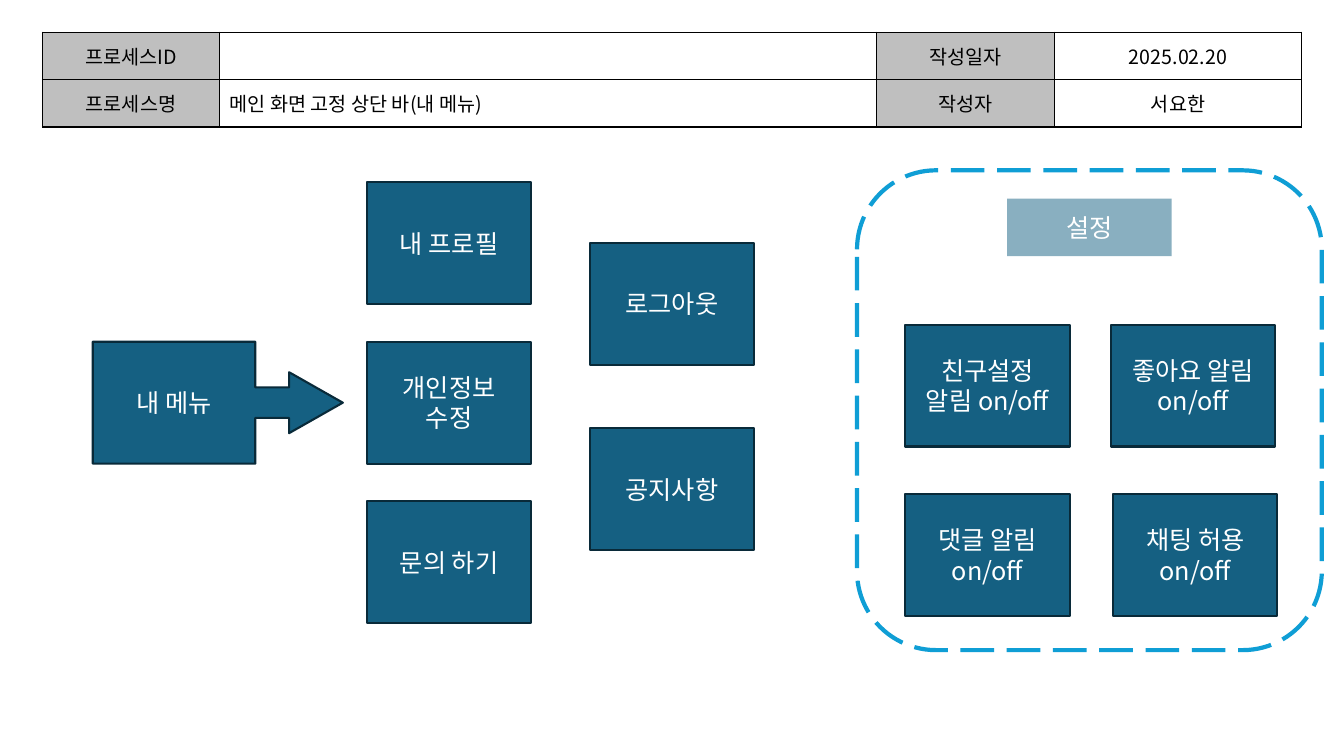
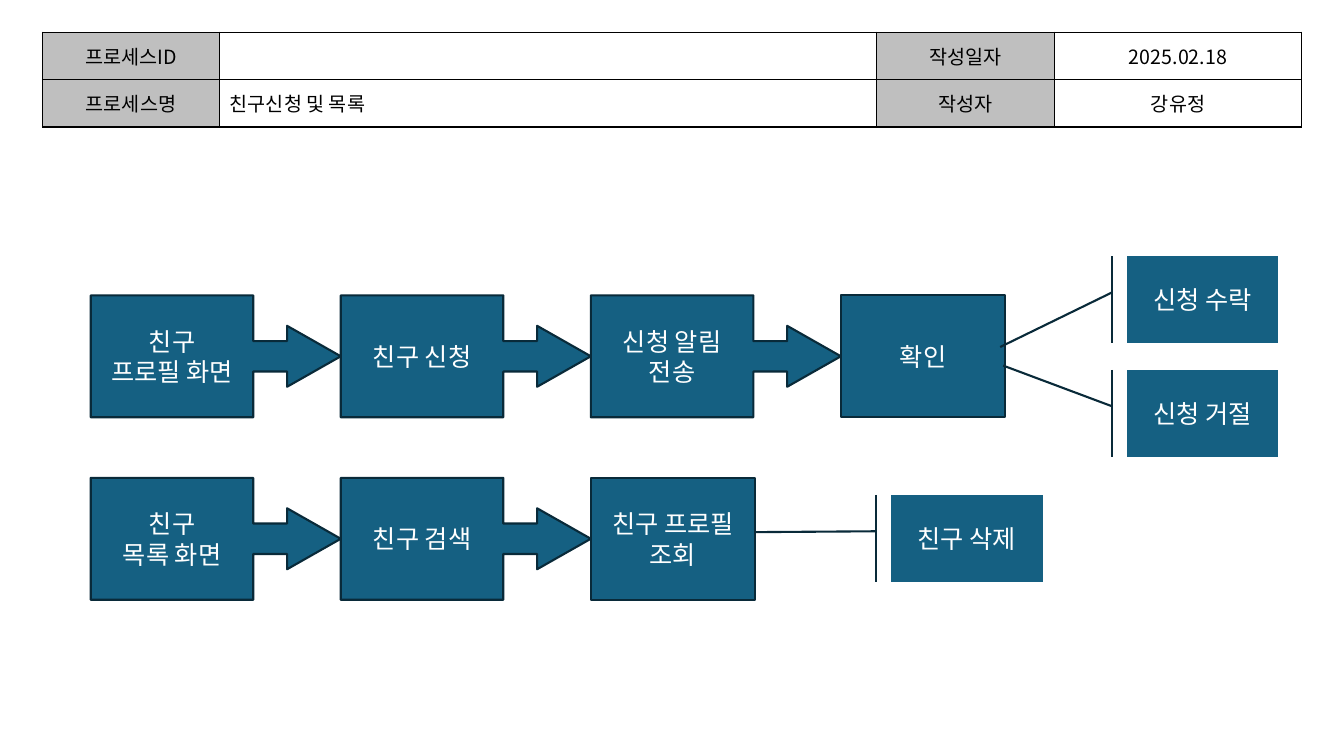
from dataclasses import dataclass

from lxml import etree
from pptx import Presentation
from pptx import util as u
from pptx.dml.color import RGBColor
from pptx.enum import dml, shapes, text
from pptx.oxml import ns

SHAPE = shapes.MSO_SHAPE
ALIGN = text.PP_ALIGN


@dataclass(frozen=True)
class Theme:
    font: str = "Noto Sans CJK KR"
    box: str = "156082"
    edge: str = "092A39"
    accent: str = "0F9ED5"
    label: str = "BFBFBF"
    ink: str = "000000"
    paper: str = "FFFFFF"
    table_size: int = 14
    box_size: int = 18
    edge_width: float = 1.5


T = Theme()
BOX_W, BOX_H = 1.63, 1.21
STEP_W = 2.48
CALLOUT_W, CALLOUT_H = 1.5, 0.86


def rgb(value):
    return RGBColor.from_string(value)


# Text
def write(tf, content, size, color, align=ALIGN.CENTER):
    tf.text = content
    for p in tf.paragraphs:
        p.alignment = align
        for r in p.runs:
            r.font.size = u.Pt(size)
            r.font.name = T.font
            r.font.color.rgb = rgb(color)
            ea = etree.SubElement(r.font._element, ns.qn("a:ea"))
            ea.set("typeface", T.font)


# Header table
def set_borders(cell, visible):
    tc_pr = cell._tc.get_or_add_tcPr()
    for side in "LRTB":
        ln = etree.SubElement(tc_pr, ns.qn(f"a:ln{side}"), w=str(u.Pt(1)))
        if side in visible:
            fill = etree.SubElement(ln, ns.qn("a:solidFill"))
            etree.SubElement(fill, ns.qn("a:srgbClr"), val=T.ink)
        else:
            etree.SubElement(ln, ns.qn("a:noFill"))


def add_header(s, name, date, author):
    widths, heights = (1.76, 6.51, 1.77, 2.45), (0.47, 0.47, 5.88)
    frame = s.shapes.add_table(len(heights), len(widths), u.Inches(0.42), u.Inches(0.32),
                               u.Inches(sum(widths)), u.Inches(sum(heights)))
    table = frame.table
    table.first_row = table.horz_banding = False
    for column, width in zip(table.columns, widths):
        column.width = u.Inches(width)
    for row, height in zip(table.rows, heights):
        row.height = u.Inches(height)

    rows = (("프로세스ID", "", "작성일자", date),
            ("프로세스명", name, "작성자", author),
            ("", "", "", ""))
    body = len(rows) - 1
    for i, row in enumerate(rows):
        for j, content in enumerate(row):
            cell = table.cell(i, j)
            set_borders(cell, "T" if i == body else "LRTB")
            if i < body and j % 2 == 0:
                cell.fill.solid()
                cell.fill.fore_color.rgb = rgb(T.label)
            else:
                cell.fill.background()
            cell.vertical_anchor = text.MSO_ANCHOR.MIDDLE
            align = ALIGN.LEFT if j == 1 else ALIGN.CENTER
            write(cell.text_frame, content, T.table_size, T.ink, align)
    table.cell(body, 0).merge(table.cell(body, len(widths) - 1))


# Shapes
def add_shape(s, kind, x, y, w, h, content="", adj=()):
    sp = s.shapes.add_shape(kind, u.Inches(x), u.Inches(y), u.Inches(w), u.Inches(h))
    sp.shadow.inherit = False
    for i, value in enumerate(adj):
        sp.adjustments[i] = value
    sp.fill.solid()
    sp.fill.fore_color.rgb = rgb(T.box)
    sp.line.color.rgb = rgb(T.edge)
    sp.line.width = u.Pt(T.edge_width)
    if content:
        write(sp.text_frame, content, T.box_size, T.paper)
    return sp


def add_box(s, x, y, content, h=BOX_H):
    return add_shape(s, SHAPE.FLOWCHART_PROCESS, x, y, BOX_W, h, content)


def add_step(s, x, y, content):
    add_shape(s, SHAPE.RIGHT_ARROW_CALLOUT, x, y, STEP_W, BOX_H, content,
              (0.25, 0.25, 0.44, 0.65))


def add_callout(s, x, y, content, end_y, end_x):
    add_shape(s, SHAPE.LINE_CALLOUT_1_ACCENT_BAR, x, y, CALLOUT_W, CALLOUT_H, content,
              (0.42, -0.1, end_y, end_x))


def add_flow(s, x, y, steps):
    """Arrow steps in a row, ending with a plain box."""
    *arrows, last = steps
    for i, content in enumerate(arrows):
        add_step(s, x + i * STEP_W, y, content)
    add_box(s, x + len(arrows) * STEP_W, y, last)


def add_column(s, x, y, pitch, items):
    for i, content in enumerate(items):
        add_box(s, x, y + i * pitch, content)


def add_settings_group(s):
    for x, y, content in ((8.98, 3.22, "친구설정\n알림 on/off"),
                          (11.02, 3.22, "좋아요 알림\von/off"),
                          (8.98, 4.9, "댓글 알림\von/off"),
                          (11.04, 4.9, "채팅 허용\von/off")):
        add_box(s, x, y, content)

    # Half-transparent heading
    heading = add_box(s, 9.99, 1.97, "설정", h=0.57)
    heading.line.fill.background()
    color = heading.fill._xPr.find(ns.qn("a:solidFill"))[0]
    etree.SubElement(color, ns.qn("a:alpha"), val="50000")

    # Dashed outline
    outline = add_shape(s, SHAPE.ROUNDED_RECTANGLE, 8.5, 1.69, 4.61, 4.76, adj=(0.17,))
    outline.fill.background()
    outline.line.color.rgb = rgb(T.accent)
    outline.line.width = u.Pt(3)
    outline.line.dash_style = dml.MSO_LINE.LONG_DASH


# Slides
def add_slide(prs, name, date, author):
    s = prs.slides.add_slide(prs.slide_layouts[6])
    add_header(s, name, date, author)
    return s


def build_my_menu(prs):
    s = add_slide(prs, "메인 화면 고정 상단 바(내 메뉴)", "2025.02.20", "서요한")
    add_step(s, 0.92, 3.39, "내 메뉴")
    add_column(s, 3.64, 1.81, 1.58, ("내 프로필", "개인정보\n수정", "문의 하기"))
    add_column(s, 5.85, 2.41, 1.84, ("로그아웃", "공지사항"))
    add_settings_group(s)


def build_friends(prs):
    s = add_slide(prs, "친구신청 및 목록", "2025.02.18", "강유정")
    add_flow(s, 0.9, 2.93, ("친구\n프로필 화면", "친구 신청", "신청 알림\n전송", "확인"))
    add_flow(s, 0.9, 4.74, ("친구\n목록 화면", "친구 검색", "친구 프로필\n조회"))
    add_callout(s, 11.18, 2.54, "신청 수락", 1.05, -0.84)
    add_callout(s, 11.18, 3.67, "신청 거절", -0.05, -0.82)
    add_callout(s, 8.84, 4.91, "친구 삭제", 0.43, -0.9)


def main():
    prs = Presentation()
    prs.slide_width, prs.slide_height = u.Inches(13.33), u.Inches(7.5)
    build_my_menu(prs)
    build_friends(prs)
    prs.save("out.pptx")


if __name__ == "__main__":
    main()
